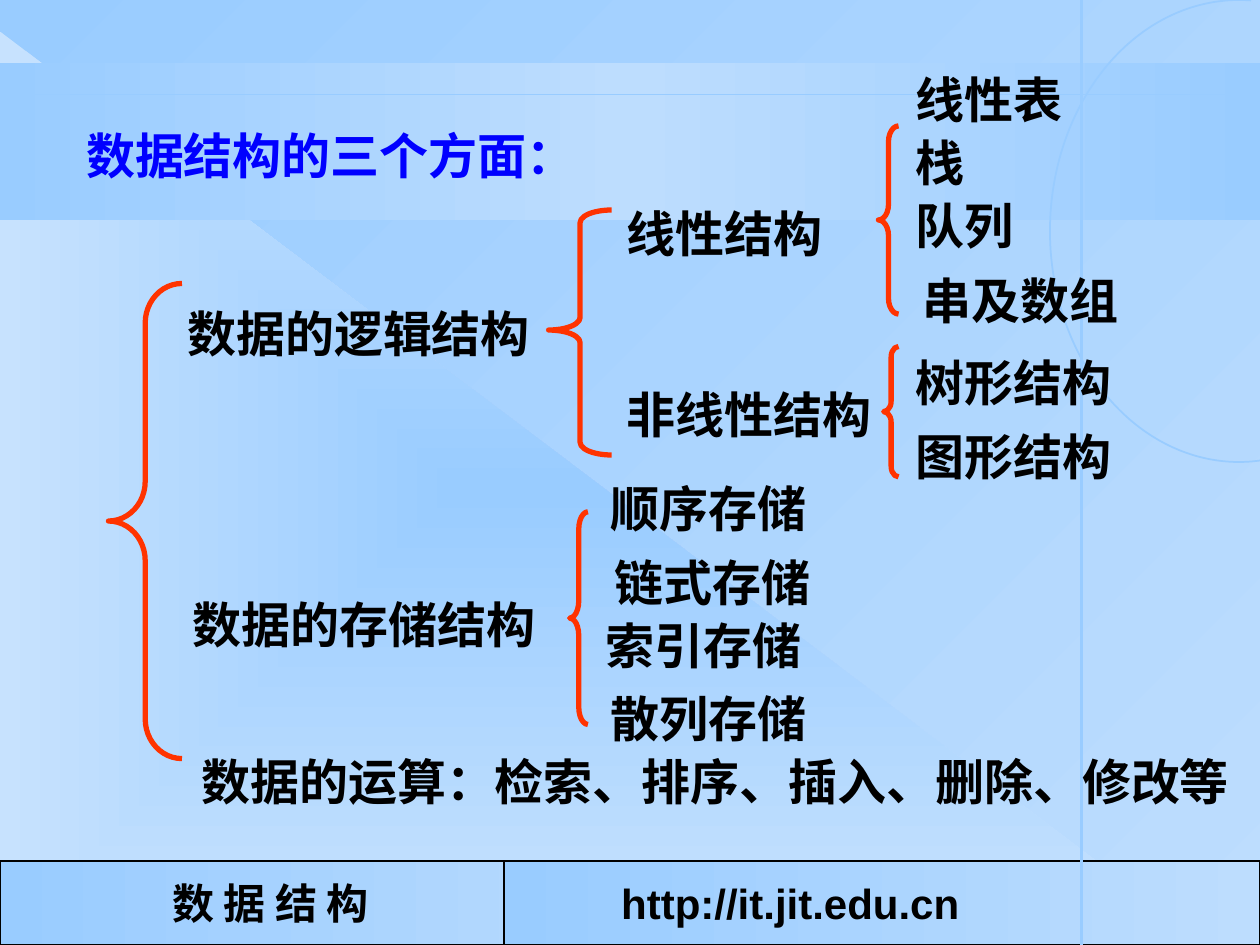
from typing import NamedTuple

import pptx
import pptx.dml.color
import pptx.enum.shapes
import pptx.enum.text
import pptx.oxml
import pptx.oxml.ns
import pptx.util

Pt = pptx.util.Pt
RGBColor = pptx.dml.color.RGBColor
Kind = pptx.enum.shapes.MSO_SHAPE
Align = pptx.enum.text.PP_ALIGN
Anchor = pptx.enum.text.MSO_ANCHOR
qn = pptx.oxml.ns.qn

SKY = RGBColor(0x99, 0xCC, 0xFF)
PALE = RGBColor(0xBD, 0xDD, 0xFE)
MIST = RGBColor(0xC7, 0xE2, 0xFE)
HAZE = RGBColor(0xB3, 0xD8, 0xFE)
RED = RGBColor(0xFF, 0x33, 0x00)
BLUE = RGBColor(0x00, 0x00, 0xFF)
BLACK = RGBColor(0x00, 0x00, 0x00)

WIDE, HIGH = 720, 540
SIZE = 28
PAD = 7.2
ROW = 41
CENTRE = (
    '<a:path path="rect" {ns}><a:fillToRect l="50000" t="50000" '
    'r="50000" b="50000"/></a:path>'
)


class Box(NamedTuple):
    left: float
    top: float
    width: float
    height: float


class Brace(NamedTuple):
    box: Box
    curve: float
    tip: float = 0.5


class Label(NamedTuple):
    text: str
    left: float
    top: float


BRACES = [
    Brace(Box(62, 162, 42, 271.5), 0.54),
    Brace(Box(325.5, 292.5, 10.5, 121.5), 0.94),
    Brace(Box(313.5, 120, 36, 140), 0.2, 0.49),
    Brace(Box(502, 72, 11.5, 107.5), 0.78),
    Brace(Box(505, 198, 8.5, 74.5), 0.7),
]

LABELS = [
    Label("数据的逻辑结构", 100, 170),
    Label("数据的存储结构", 103, 336),
    Label("数据的运算：检索、排序、插入、删除、修改等", 108, 426),
    Label("线性结构", 351, 113),
    Label("非线性结构", 351, 216),
    Label("线性表", 516, 36),
    Label("栈", 516, 72),
    Label("队列", 516, 108),
    Label("串及数组", 520, 151),
    Label("树形结构", 516, 198),
    Label("图形结构", 516, 240),
    Label("顺序存储", 342, 270),
    Label("链式存储", 344, 312),
    Label("索引存储", 339, 348),
    Label("散列存储", 342, 390),
]


def blend(node, tones: list[RGBColor], angle: int | None) -> None:
    ns = pptx.oxml.ns.nsdecls("a")
    grad = next(node.iter(qn("a:gradFill")))
    for child in list(grad):
        grad.remove(child)
    last = len(tones) - 1
    stops = "".join(
        f'<a:gs pos="{100000 * i // last}"><a:srgbClr val="{tone}"/></a:gs>'
        for i, tone in enumerate(tones)
    )
    way = (
        CENTRE.format(ns=ns)
        if angle is None
        else f'<a:lin ang="{angle * 60000}" scaled="1" {ns}/>'
    )
    grad.append(pptx.oxml.parse_xml(f"<a:gsLst {ns}>{stops}</a:gsLst>"))
    grad.append(pptx.oxml.parse_xml(way))


def add_form(slide, kind, box: Box, ink: RGBColor | None = None, weight: float = 1):
    form = slide.shapes.add_shape(kind, *map(Pt, box))
    form.shadow.inherit = False
    form.fill.background()
    if ink is None:
        form.line.fill.background()
    else:
        form.line.color.rgb = ink
        form.line.width = Pt(weight)
    return form


def add_panel(slide, kind, box: Box, tones: list[RGBColor], angle: int | None,
              ink: RGBColor | None = None):
    panel = add_form(slide, kind, box, ink, 1.5)
    panel.fill.gradient()
    blend(panel._element, tones, angle)
    return panel


def add_rule(slide, x1: float, y1: float, x2: float, y2: float, weight: float) -> None:
    rule = slide.shapes.add_connector(
        pptx.enum.shapes.MSO_CONNECTOR.STRAIGHT, Pt(x1), Pt(y1), Pt(x2), Pt(y2)
    )
    rule.line.color.rgb = SKY
    rule.line.width = Pt(weight)
    rule._element.spPr.append(pptx.oxml.parse_xml(
        f'<a:effectLst {pptx.oxml.ns.nsdecls("a")}/>'
    ))


def add_text(shape, text: str, size: float, tone: RGBColor = BLACK,
             font: str = "Times New Roman", align=Align.LEFT,
             anchor=Anchor.TOP, pad: float = PAD) -> None:
    frame = shape.text_frame
    frame.auto_size = pptx.enum.text.MSO_AUTO_SIZE.NONE
    frame.word_wrap = False
    frame.vertical_anchor = anchor
    frame.margin_left, frame.margin_right = Pt(pad), Pt(PAD)
    frame.margin_top = frame.margin_bottom = Pt(PAD / 2)
    para = frame.paragraphs[0]
    para.alignment = align
    run = para.add_run()
    run.text = text
    run.font.name = font
    run.font.size = Pt(size)
    run.font.bold = True
    run.font.color.rgb = tone


def add_back(slide) -> None:
    slide.background.fill.gradient()
    blend(slide._element, [PALE, SKY], 225)
    add_panel(slide, Kind.RIGHT_TRIANGLE, Box(0, 18, 690, 522), [SKY, MIST], None)
    add_panel(slide, Kind.RECTANGLE, Box(0, 36, WIDE, 90), [SKY, PALE, SKY], 180)
    name = add_panel(
        slide, Kind.RECTANGLE, Box(0, 492, 309, 48), [HAZE, SKY], 180, BLACK
    )
    add_text(name, "数 据 结 构", 24, align=Align.CENTER, anchor=Anchor.MIDDLE)
    site = add_panel(
        slide, Kind.RECTANGLE, Box(288, 492, 432, 48), [SKY, PALE], 0, BLACK
    )
    add_text(site, "http://it.jit.edu.cn", 24, font="Arial",
             anchor=Anchor.MIDDLE, pad=67)
    add_rule(slide, 0, 54, WIDE, 54, 1)
    add_rule(slide, 618, 0, 618, HIGH, 1.5)
    arc = add_form(slide, Kind.ARC, Box(600, 0, 216, 264), SKY)
    arc.adjustments[0] = 83 * 0.6
    arc.adjustments[1] = 273 * 0.6


def add_brace(slide, brace: Brace) -> None:
    form = add_form(slide, Kind.LEFT_BRACE, brace.box, RED, 3)
    form.adjustments[0] = brace.curve
    form.adjustments[1] = brace.tip


def add_label(slide, label: Label) -> None:
    width = len(label.text) * SIZE + 2 * PAD
    box = Box(label.left, label.top, width, ROW)
    add_text(slide.shapes.add_textbox(*map(Pt, box)), label.text, SIZE)


def add_title(slide) -> None:
    title = slide.shapes.title
    title.left, title.top, title.width, title.height = map(Pt, (42, 68, 294, ROW))
    add_text(title, "数据结构的三个方面：", SIZE, BLUE)
    slide.shapes._spTree.append(title._element)


def main() -> None:
    deck = pptx.Presentation()
    deck.slide_width, deck.slide_height = Pt(WIDE), Pt(HIGH)
    slide = deck.slides.add_slide(deck.slide_layouts[5])
    add_back(slide)
    add_title(slide)
    for brace in BRACES:
        add_brace(slide, brace)
    for label in LABELS:
        add_label(slide, label)
    deck.save("out.pptx")


if __name__ == "__main__":
    main()
